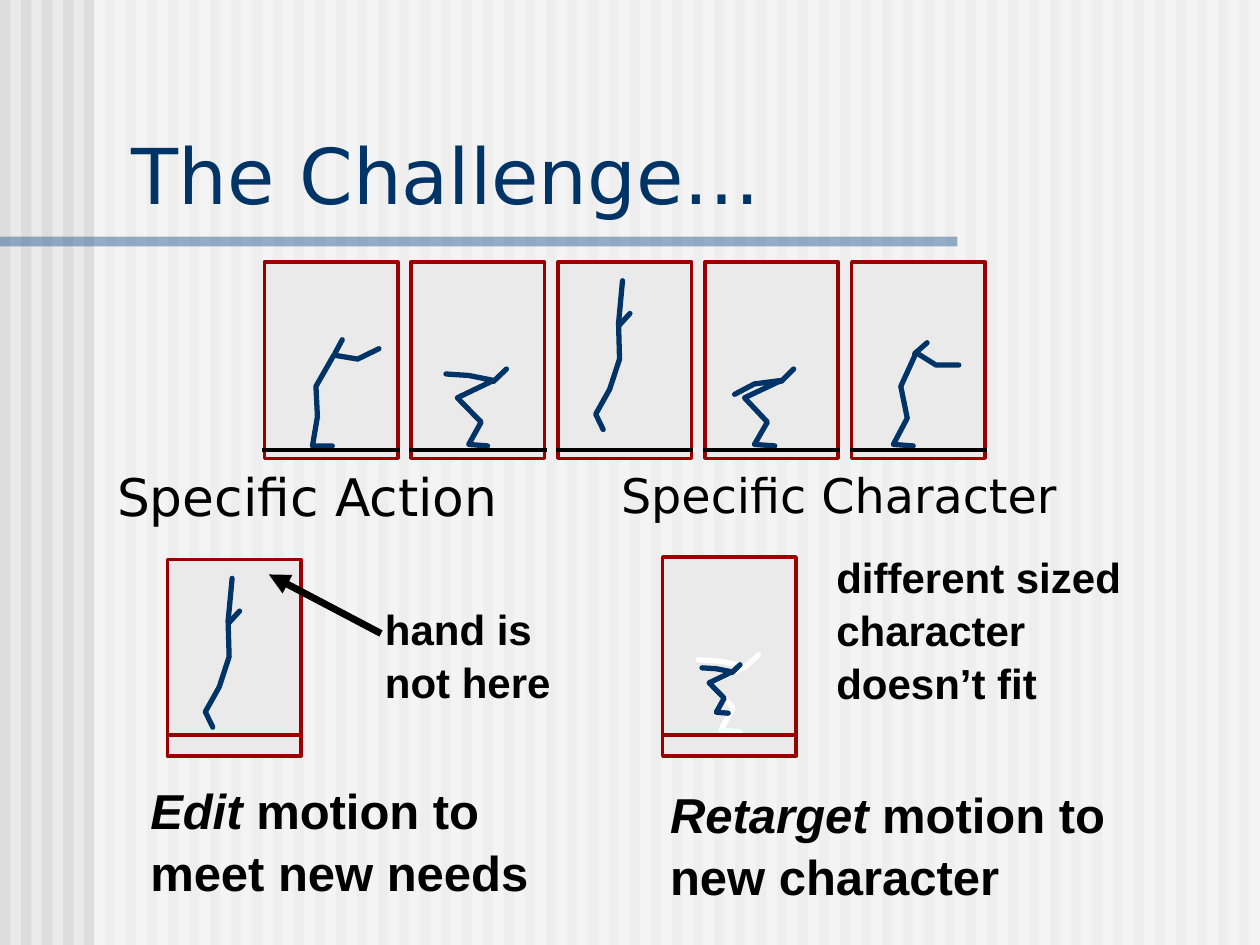
from collections import namedtuple

from lxml import etree
from pptx import Presentation
from pptx.dml.color import RGBColor
from pptx.enum.shapes import MSO_CONNECTOR, MSO_SHAPE
from pptx.enum.text import MSO_ANCHOR
from pptx.oxml.ns import qn
from pptx.util import Cm, Pt

STRAIGHT = MSO_CONNECTOR.STRAIGHT
RECTANGLE = MSO_SHAPE.RECTANGLE
TOP, BOTTOM = MSO_ANCHOR.TOP, MSO_ANCHOR.BOTTOM

PALE = RGBColor(0xEA, 0xEA, 0xEA)
STRIPE = RGBColor(0xDD, 0xDD, 0xDD)
WHITE = RGBColor(0xFF, 0xFF, 0xFF)
BLACK = RGBColor(0x00, 0x00, 0x00)
BLUE = RGBColor(0x33, 0x66, 0x99)
NAVY = RGBColor(0x00, 0x33, 0x66)
RED = RGBColor(0x9A, 0x00, 0x00)

Box = namedtuple("Box", "left top width height")
Pose = namedtuple("Pose", "body head")

PAGE = Box(0, 0, 25.4, 19.05)
STRIPE_COUNT = 60

REACH = Pose([(1.37, 3.71), (0.97, 3.71), (1.07, 3.12), (1.04, 2.51),
              (1.4, 1.88), (1.88, 1.96), (2.31, 1.75)],
             [(1.57, 1.57), (1.42, 1.85)])
CROUCH = Pose([(1.54, 3.71), (1.16, 3.68), (1.41, 3.23), (0.93, 2.74),
               (1.66, 2.39), (1.16, 2.29), (0.7, 2.26)],
              [(1.92, 2.16), (1.66, 2.41)])
JUMP = Pose([(0.91, 3.38), (0.76, 3.07), (1.04, 2.57), (1.24, 1.96),
             (1.22, 1.24), (1.26, 0.81), (1.3, 0.38)],
            [(1.45, 1.04), (1.24, 1.27)])
LAND = Pose([(1.41, 3.71), (1, 3.68), (1.26, 3.23), (0.8, 2.74),
             (1.54, 2.39), (1, 2.46), (0.6, 2.67)],
            [(1.79, 2.16), (1.54, 2.41)])
RISE = Pose([(1.24, 3.71), (0.84, 3.68), (1.12, 3.15), (0.99, 2.51),
             (1.3, 1.83), (1.7, 2.08), (2.16, 2.08)],
            [(1.52, 1.63), (1.27, 1.85)])

TITLE = {"size": Pt(44), "name": "DejaVu Sans"}
ACTION = {"size": Pt(29.6), "name": "DejaVu Sans"}
CHARACTER = {"size": Pt(27.2), "name": "DejaVu Sans"}
LABEL = {"size": Pt(24), "name": "Arial", "bold": True}
SUMMARY = {"size": Pt(28), "name": "Arial", "bold": True}
ITALIC_SUMMARY = {**SUMMARY, "italic": True}


def add_block(page, box, fill, line=None, alpha=None):
    """Add a rectangle with an optional outline and opacity percentage."""
    block = page.shapes.add_shape(RECTANGLE, *map(Cm, box))
    block.shadow.inherit = False
    block.fill.solid()
    block.fill.fore_color.rgb = fill
    if alpha:
        color = block.element.spPr.find(qn("a:solidFill"))[0]
        etree.SubElement(color, qn("a:alpha")).set("val", str(alpha * 1000))
    if line:
        block.line.color.rgb = line
        block.line.width = Pt(2)
    else:
        block.line.fill.background()


def add_line(page, start, end, color, width, arrow=False):
    """Add a straight line, with an arrowhead at its end if asked."""
    line = page.shapes.add_connector(STRAIGHT, *map(Cm, start + end))
    line.line.color.rgb = color
    line.line.width = Pt(width)
    properties = line.element.spPr
    if arrow:
        tail = etree.SubElement(properties.find(qn("a:ln")), qn("a:tailEnd"))
        tail.set("type", "triangle")
    etree.SubElement(properties, qn("a:effectLst"))


def add_text(page, box, lines, color=BLACK, anchor=TOP, wrap=True, spacing=1.0):
    """Add a text box whose lines are lists of (text, format) spans."""
    frame = page.shapes.add_textbox(*map(Cm, box)).text_frame
    frame.word_wrap = wrap
    frame.vertical_anchor = anchor
    for index, spans in enumerate(lines):
        para = frame.add_paragraph() if index else frame.paragraphs[0]
        para.line_spacing = spacing
        for text, style in spans:
            span = para.add_run()
            span.text = text
            span.font.color.rgb = color
            for key, value in style.items():
                setattr(span.font, key, value)


def add_figure(page, box, pose, color=NAVY, scale=1, shift=(0, 0)):
    """Draw a stick figure inside a panel box."""
    for stroke in pose:
        points = [(Cm(box.left + shift[0] + scale * x),
                   Cm(box.top + shift[1] + scale * y)) for x, y in stroke]
        builder = page.shapes.build_freeform(*points[0])
        builder.add_line_segments(points[1:], close=False)
        limb = builder.convert_to_shape()
        limb.shadow.inherit = False
        limb.fill.background()
        limb.line.color.rgb = color
        limb.line.width = Pt(3)
        outline = limb.element.spPr.find(qn("a:ln"))
        outline.set("cap", "rnd")
        etree.SubElement(outline, qn("a:round"))


def add_panel(page, box, figures, floor, floor_color):
    """Draw a framed panel with its figures standing above a floor line."""
    add_block(page, box, PALE, RED)
    for figure in figures:
        add_figure(page, box, **figure)
    height = box.top + floor
    add_line(page, (box.left - 0.04, height),
             (box.left + box.width + 0.04, height), floor_color, 2.25)


def add_backdrop(page, box):
    """Fill the page with stripes, a pale veil and the title rule."""
    page.background.fill.solid()
    page.background.fill.fore_color.rgb = PALE
    pitch = box.width / STRIPE_COUNT
    for index in range(STRIPE_COUNT):
        add_block(page, Box(box.left + index * pitch, box.top, pitch / 2, box.height), STRIPE)
    add_block(page, Box(box.left + 1.9, box.top, box.width - 1.9, box.height), WHITE, alpha=50)
    add_block(page, Box(box.left, box.top + 4.77, 19.3, 0.2), BLUE, alpha=50)


def add_sequence(page, box):
    """Lay out the five motion frames at equal gaps across the box."""
    poses = [REACH, CROUCH, JUMP, LAND, RISE]
    width = 2.69
    pitch = (box.width - width) / (len(poses) - 1)
    for index, pose in enumerate(poses):
        panel = Box(box.left + index * pitch, box.top, width, box.height)
        add_panel(page, panel, [{"pose": pose}], 3.79, BLACK)


def add_action_side(page, box):
    """Show the specific action problem within the left column."""
    left, top = box.left, box.top
    add_text(page, Box(left, top, box.width, 1.6), [[("Specific Action", ACTION)]], spacing=0.9)
    add_panel(page, Box(left + 1.27, top + 1.89, 2.69, 3.96), [{"pose": JUMP}], 3.53, RED)
    add_text(page, Box(left + 5.4, top + 2.6, 3.84, 2.29),
             [[("hand is", LABEL)], [("not here", LABEL)]], wrap=False, spacing=1.05)
    add_line(page, (left + 5.57, top + 3.38), (left + 3.31, top + 2.19), BLACK, 4, arrow=True)
    add_text(page, Box(left + 0.67, top + 6.16, 9.04, 2.62),
             [[("Edit", ITALIC_SUMMARY), (" motion to meet new needs", SUMMARY)]], spacing=1.05)


def add_character_side(page, box):
    """Show the specific character problem within the right column."""
    left, top = box.left, box.top
    add_text(page, Box(left, top, box.width, 1.47),
             [[("Specific Character", CHARACTER)]], spacing=0.9)
    figures = [{"pose": CROUCH, "color": WHITE, "shift": (0.01, -0.19)},
               {"pose": CROUCH, "scale": 0.63, "shift": (0.35, 0.81)}]
    add_panel(page, Box(left + 1.09, top + 1.84, 2.69, 4.01), figures, 3.58, RED)
    lines = ["different sized", "character", "doesn’t fit"]
    add_text(page, Box(left + 4.34, top + 1.56, 6.25, 3.3),
             [[(line, LABEL)] for line in lines], wrap=False, spacing=1.05)
    add_text(page, Box(left + 0.99, top + 6.24, 10.16, 2.62),
             [[("Retarget", ITALIC_SUMMARY), (" motion to new character", SUMMARY)]], spacing=1.05)


def main():
    """Build the slide and save the deck."""
    deck = Presentation()
    deck.slide_width, deck.slide_height = Cm(PAGE.width), Cm(PAGE.height)
    page = deck.slides.add_slide(deck.slide_layouts[6])
    add_backdrop(page, PAGE)
    add_text(page, Box(2.41, 2.43, 22.68, 2.13), [[("The Challenge…", TITLE)]], NAVY, BOTTOM)
    add_sequence(page, Box(5.33, 5.28, 14.53, 3.96))
    add_action_side(page, Box(2.11, 9.39, 9.73, 8.8))
    add_character_side(page, Box(12.27, 9.39, 11.63, 8.8))
    deck.save("out.pptx")


if __name__ == "__main__":
    main()
